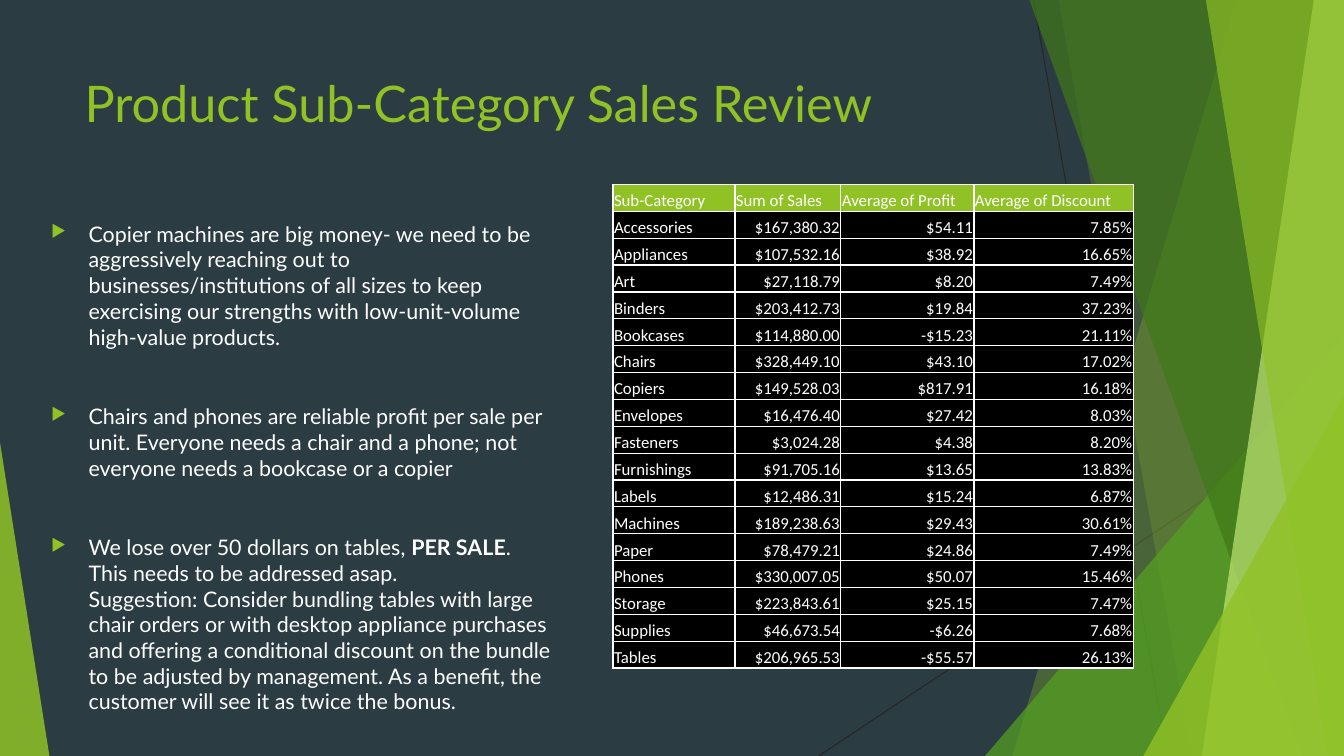
from dataclasses import dataclass

from lxml.etree import SubElement
from pptx import Presentation
from pptx.dml.color import RGBColor
from pptx.enum.shapes import MSO_CONNECTOR, MSO_SHAPE
from pptx.enum.text import MSO_ANCHOR, PP_ALIGN
from pptx.oxml.ns import qn
from pptx.slide import Slide
from pptx.util import Inches, Pt

SLATE = RGBColor(0x2C, 0x3C, 0x43)
CHARCOAL = RGBColor(0x26, 0x26, 0x26)
BLACK = RGBColor(0, 0, 0)
WHITE = RGBColor(0xFF, 0xFF, 0xFF)
LIME = RGBColor(0x90, 0xC2, 0x26)
GREEN = RGBColor(0x54, 0xA0, 0x21)
FOREST = RGBColor(0x3F, 0x78, 0x19)
PALE_LIME = RGBColor(0xC0, 0xE4, 0x74)
WIDTH, HEIGHT = 13.33, 7.5


@dataclass
class SlideBuilder:
    """Draws styled elements on the current slide."""

    slide: Slide
    text_font: str = "Lato"
    table_font: str = "Calibri"

    def hairline(self, x1, y1, x2, y2):
        line = self.slide.shapes.add_connector(
            MSO_CONNECTOR.STRAIGHT, Inches(x1), Inches(y1), Inches(x2), Inches(y2))
        line.line.color.rgb = CHARCOAL
        line.line.width = Pt(0.75)
        SubElement(line._element.spPr, qn("a:effectLst"))

    def tint(self, shape, color, opacity):
        shape.shadow.inherit = False
        shape.line.fill.background()
        shape.fill.solid()
        shape.fill.fore_color.rgb = color
        srgb = shape._element.spPr.find(qn("a:solidFill"))[0]
        SubElement(srgb, qn("a:alpha"), val=str(opacity * 1000))

    def shard(self, top_x, bottom_x, color, opacity):
        outline = self.slide.shapes.build_freeform(Inches(top_x), 0)
        corners = [(WIDTH, 0), (WIDTH, HEIGHT), (bottom_x, HEIGHT)]
        outline.add_line_segments([(Inches(x), Inches(y)) for x, y in corners])
        self.tint(outline.convert_to_shape(), color, opacity)

    def corner(self, left, top, width, apex, color, opacity):
        triangle = self.slide.shapes.add_shape(
            MSO_SHAPE.ISOSCELES_TRIANGLE, Inches(left), Inches(top),
            Inches(width), Inches(HEIGHT - top))
        triangle.adjustments[0] = apex
        self.tint(triangle, color, opacity)

    def run(self, paragraph, text, font, size, color, bold=False):
        run = paragraph.add_run()
        run.text = text
        run.font.name = font
        run.font.size = Pt(size)
        run.font.bold = bold
        run.font.color.rgb = color

    def text_frame(self, left, top, width, height):
        frame = self.slide.shapes.add_textbox(
            Inches(left), Inches(top), Inches(width), Inches(height)).text_frame
        frame.word_wrap = True
        return frame

    def title(self, text, *box):
        heading = self.text_frame(*box).paragraphs[0]
        self.run(heading, text, self.text_font, 36, LIME)

    def bullets(self, points, *box):
        frame = self.text_frame(*box)
        frame.margin_top = Inches(0.45)
        for index, lines in enumerate(points):
            point = frame.add_paragraph() if index else frame.paragraphs[0]
            point.space_before = Pt(38.5 if index else 0)
            self.bullet_mark(point)
            for number, line in enumerate(lines):
                if number:
                    point.add_line_break()
                for text, bold in line:
                    self.run(point, text, self.text_font, 15.3, WHITE, bold)

    def bullet_mark(self, paragraph):
        props = paragraph._p.get_or_add_pPr()
        props.set("marL", str(Inches(0.37)))
        props.set("indent", str(-Inches(0.37)))
        SubElement(SubElement(props, qn("a:buClr")), qn("a:srgbClr"), val=str(LIME))
        SubElement(props, qn("a:buSzPct"), val="80000")
        SubElement(props, qn("a:buChar"), char="▶")

    def table(self, rows, left, top, column_widths, height):
        table = self.slide.shapes.add_table(
            len(rows), len(column_widths), Inches(left), Inches(top),
            Inches(sum(column_widths)), Inches(height)).table
        table.first_row = table.horz_banding = False
        for column, width in zip(table.columns, column_widths):
            column.width = Inches(width)
        for r, values in enumerate(rows):
            table.rows[r].height = Inches(height / len(rows))
            for c, value in enumerate(values):
                self.cell(table.cell(r, c), value, BLACK if r else LIME,
                          PP_ALIGN.RIGHT if r and c else PP_ALIGN.LEFT)

    def cell(self, cell, text, fill, alignment):
        cell.margin_left = cell.margin_right = cell.margin_top = Inches(0.01)
        cell.margin_bottom = 0
        cell.vertical_anchor = MSO_ANCHOR.BOTTOM
        props = cell._tc.get_or_add_tcPr()
        for side in "LRTB":
            border = SubElement(props, qn(f"a:ln{side}"), w=str(Pt(1)))
            SubElement(SubElement(border, qn("a:solidFill")), qn("a:srgbClr"), val=str(WHITE))
        cell.fill.solid()
        cell.fill.fore_color.rgb = fill
        paragraph = cell.text_frame.paragraphs[0]
        paragraph.alignment = alignment
        self.run(paragraph, text, self.table_font, 12, WHITE)


POINTS = [
    [[("Copier machines are big money- we need to be aggressively reaching out to "
       "businesses/institutions of all sizes to keep exercising our strengths with "
       "low-unit-volume high-value products.", False)]],
    [[("Chairs and phones are reliable profit per sale per unit. Everyone needs a chair "
       "and a phone; not everyone needs a bookcase or a copier", False)]],
    [[("We lose over 50 dollars on tables, ", False), ("PER SALE", True), (".", False)],
     [("This needs to be addressed asap.", False)],
     [("Suggestion: Consider bundling tables with large chair orders or with desktop "
       "appliance purchases and offering a conditional discount on the bundle to be "
       "adjusted by management. As a benefit, the customer will see it as twice the "
       "bonus.", False)]],
]
SALES = [
    ("Sub-Category", "Sum of Sales", "Average of Profit", "Average of Discount"),
    ("Accessories", "$167,380.32", "$54.11", "7.85%"),
    ("Appliances", "$107,532.16", "$38.92", "16.65%"),
    ("Art", "$27,118.79", "$8.20", "7.49%"),
    ("Binders", "$203,412.73", "$19.84", "37.23%"),
    ("Bookcases", "$114,880.00", "-$15.23", "21.11%"),
    ("Chairs", "$328,449.10", "$43.10", "17.02%"),
    ("Copiers", "$149,528.03", "$817.91", "16.18%"),
    ("Envelopes", "$16,476.40", "$27.42", "8.03%"),
    ("Fasteners", "$3,024.28", "$4.38", "8.20%"),
    ("Furnishings", "$91,705.16", "$13.65", "13.83%"),
    ("Labels", "$12,486.31", "$15.24", "6.87%"),
    ("Machines", "$189,238.63", "$29.43", "30.61%"),
    ("Paper", "$78,479.21", "$24.86", "7.49%"),
    ("Phones", "$330,007.05", "$50.07", "15.46%"),
    ("Storage", "$223,843.61", "$25.15", "7.47%"),
    ("Supplies", "$46,673.54", "-$6.26", "7.68%"),
    ("Tables", "$206,965.53", "-$55.57", "26.13%"),
]

deck = Presentation()
deck.slide_width, deck.slide_height = Inches(WIDTH), Inches(HEIGHT)
review = SlideBuilder(deck.slides.add_slide(deck.slide_layouts[6]))
backdrop = review.slide.background.fill
backdrop.solid()
backdrop.fore_color.rgb = SLATE

review.hairline(10.25, 0, 11.58, HEIGHT)
review.hairline(WIDTH, 4.03, 8.12, HEIGHT)
review.shard(12.27, 10.04, LIME, 30)
review.shard(10.5, 11.82, LIME, 20)
review.corner(9.77, 3.33, 3.56, 1, GREEN, 72)
review.shard(10.21, 12.91, FOREST, 70)
review.shard(13.03, 11.92, PALE_LIME, 70)
review.shard(11.96, 13.17, LIME, 65)
review.corner(11.34, 3.93, 1.99, 1, LIME, 80)
review.corner(0, 4.39, 0.49, 0, LIME, 85)

review.title("Product Sub-Category Sales Review", 0.74, 0.67, 9.4, 1.44)
review.bullets(POINTS, 0.41, 1.74, 5.22, 5.46)
review.table(SALES, 6.08, 1.83, (1.21, 1.05, 1.32, 1.58), 4.8)
deck.save("out.pptx")
